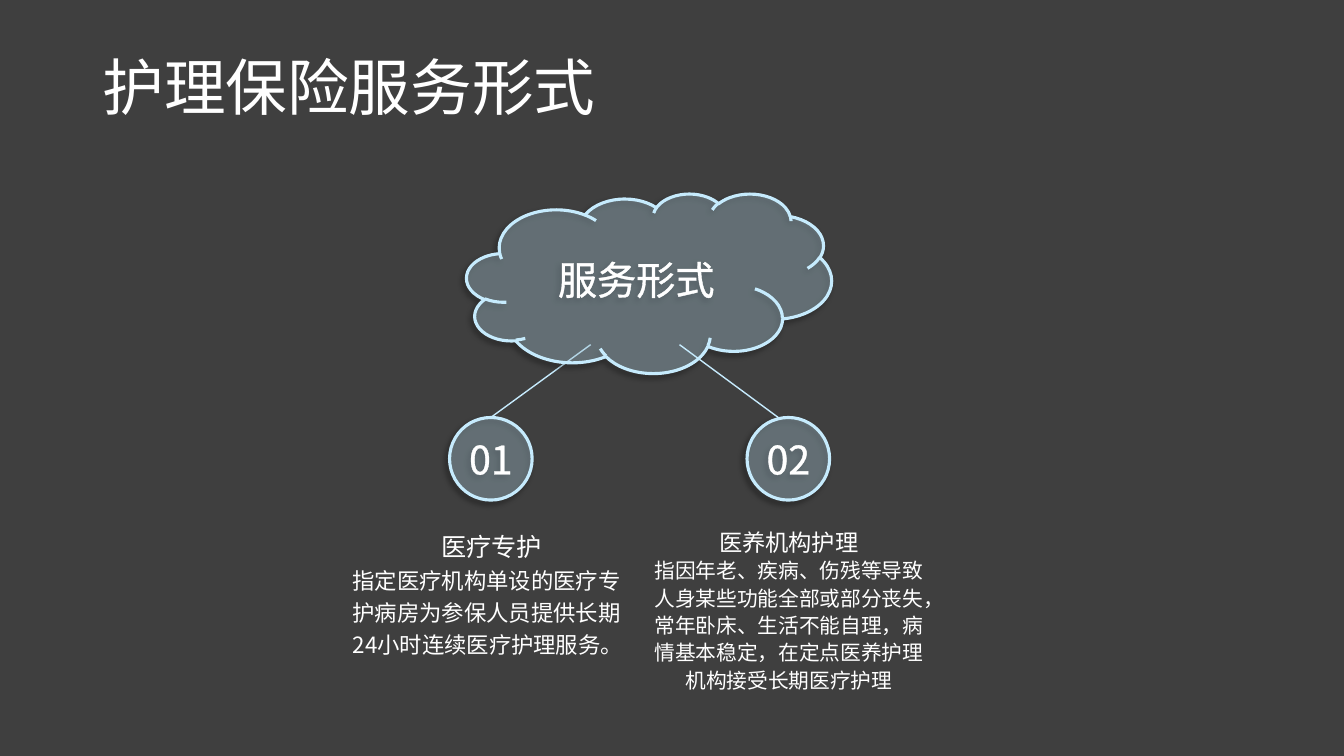
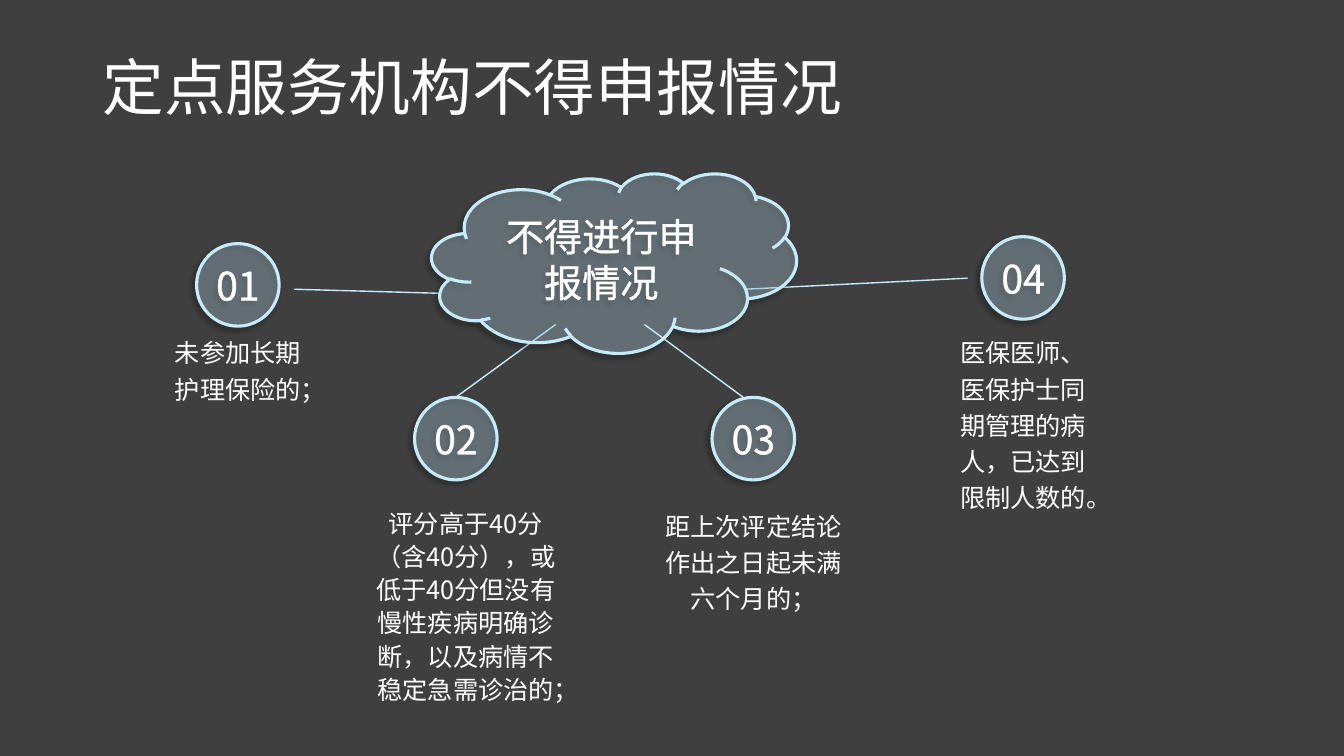
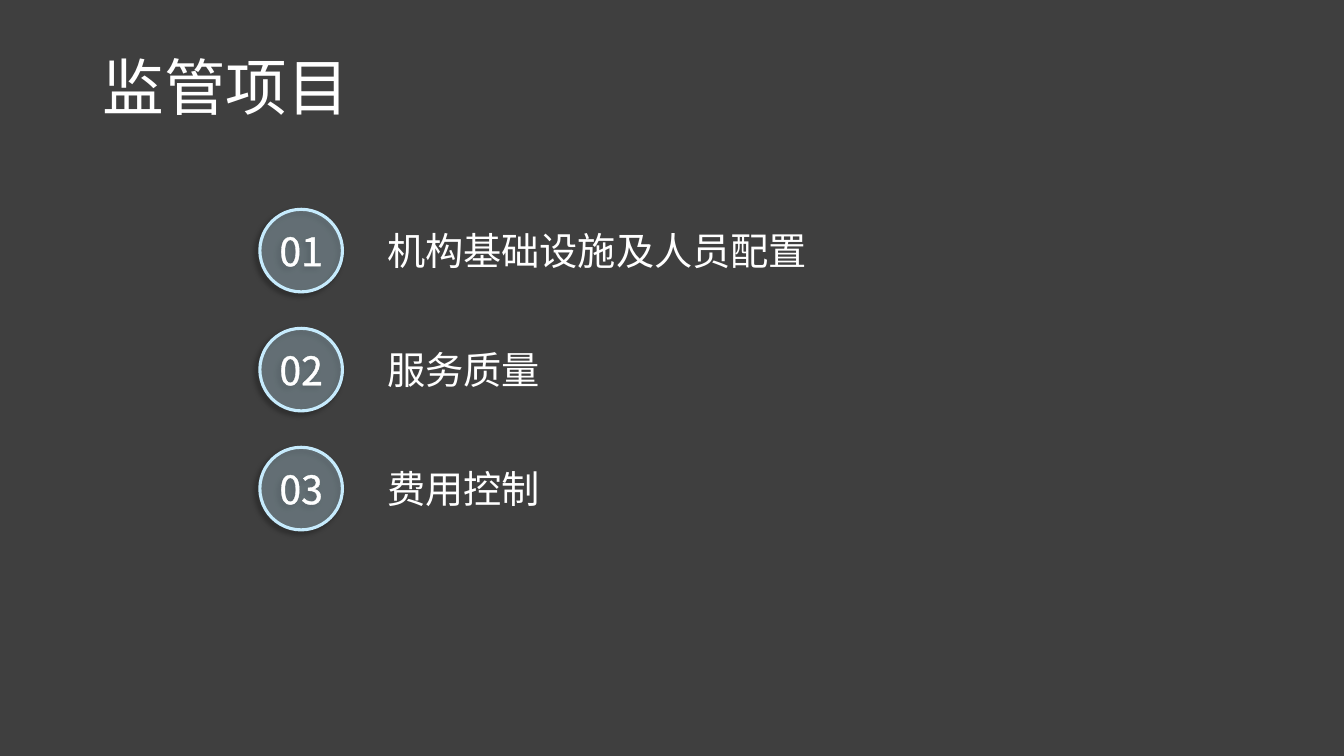
"""Build three slides on care insurance services."""
import pptx
import pptx.dml.color
import pptx.enum.shapes
import pptx.enum.text
import pptx.oxml
import pptx.oxml.ns
import pptx.util

Pt = pptx.util.Pt
qn = pptx.oxml.ns.qn
ALIGN = pptx.enum.text.PP_ALIGN
ANCHOR = pptx.enum.text.MSO_ANCHOR
SHAPE = pptx.enum.shapes.MSO_SHAPE

COLORS = {"background": "3F3F3F", "accent": "C6EBFD", "text": "FFFFFF", "shadow": "000000"}
FONT = "Noto Sans CJK SC"
CIRCLE = 59
CLOUD_WIDTH, CLOUD_HEIGHT = 260.6, 128.2
CIRCLE_DROP = 160
CIRCLE_OFFSETS = (-12.3, 200.2)


def color(name):
    return pptx.dml.color.RGBColor.from_string(COLORS[name])


def xml(tag, content=""):
    namespace = pptx.oxml.ns.nsdecls("a")
    return pptx.oxml.parse_xml(f"<a:{tag} {namespace}>{content}</a:{tag}>")


def solid_fill(name):
    return f'<a:solidFill><a:srgbClr val="{COLORS[name]}"/></a:solidFill>'


def add_paragraph(frame, text, size, align=ALIGN.CENTER, spacing=None, outlined=False):
    first = frame.paragraphs[0]
    para = frame.add_paragraph() if first.runs else first
    para.alignment = align
    para.line_spacing = spacing
    span = para.add_run()
    span.text = text
    span.font.size = Pt(size)
    span.font.name = FONT
    span.font.color.rgb = color("text")
    properties = span.font._element
    east_asian = xml("ea")
    east_asian.set("typeface", FONT)
    properties.append(east_asian)
    if outlined:
        outline = xml("ln", solid_fill("text"))
        outline.set("w", str(Pt(0.75)))
        properties.insert(0, outline)


def add_text(shapes, bounds, paragraphs, spacing=None, anchor=ANCHOR.TOP):
    box = shapes.add_textbox(*map(Pt, bounds))
    frame = box.text_frame
    frame.word_wrap = True
    frame.vertical_anchor = anchor
    for text, size, align in paragraphs:
        add_paragraph(frame, text, size, align, spacing)


def add_glass_shape(shapes, kind, bounds, text, size, inset):
    shape = shapes.add_shape(kind, *map(Pt, bounds))
    shape.fill.solid()
    shape.fill.fore_color.rgb = color("accent")
    shape.line.color.rgb = color("accent")
    shape.line.width = Pt(2.25)
    properties = shape._element.spPr
    alpha = xml("alpha")
    alpha.set("val", "31000")
    properties.find(qn("a:solidFill")).find(qn("a:srgbClr")).append(alpha)
    shape.shadow.inherit = False
    shadow = xml("outerShdw", f'<a:srgbClr val="{COLORS["shadow"]}"><a:alpha val="40000"/></a:srgbClr>')
    for name, value in (("blurRad", Pt(4)), ("dist", Pt(3)), ("dir", 135 * 60000)):
        shadow.set(name, str(value))
    properties.find(qn("a:effectLst")).append(shadow)
    frame = shape.text_frame
    frame.word_wrap = True
    frame.vertical_anchor = ANCHOR.MIDDLE
    frame.margin_left = frame.margin_right = Pt(inset)
    frame.margin_top = frame.margin_bottom = Pt(inset)
    add_paragraph(frame, text, size, outlined=True)
    return shape


def add_circle(shapes, left, top, number):
    bounds = (left, top, CIRCLE, CIRCLE)
    return add_glass_shape(shapes, SHAPE.OVAL, bounds, f"{number:02d}", 28, 0)


def add_line(shapes, start, end):
    line = shapes.add_connector(pptx.enum.shapes.MSO_CONNECTOR.STRAIGHT, *map(Pt, start + end))
    line.line.color.rgb = color("accent")
    line.line.width = Pt(1)
    line._element.spPr.append(xml("effectLst"))
    return line


def add_cloud_diagram(shapes, left, top, text, size, first_number):
    row = top + CIRCLE_DROP
    circles = [add_circle(shapes, left + offset, row, first_number + index)
               for index, offset in enumerate(CIRCLE_OFFSETS)]
    left_line = add_line(shapes, (left + 17.2, row), (left + 88.5, top + 108))
    left_line.begin_connect(circles[0], 0)
    add_glass_shape(shapes, SHAPE.CLOUD, (left, top, CLOUD_WIDTH, CLOUD_HEIGHT), text, size, 11.5)
    add_line(shapes, (left + 222.5, row), (left + 152, top + 108))


def add_page(deck, title):
    page = deck.slides.add_slide(deck.slide_layouts[6])
    add_text(page.shapes, (66.2, 28.8, 828, 72), [(title, 44, ALIGN.LEFT)], 0.9, ANCHOR.MIDDLE)
    return page.shapes


def build_service_forms(deck):
    shapes = add_page(deck, "护理保险服务形式")
    add_cloud_diagram(shapes, 333.4, 138.2, "服务形式", 28, 1)
    add_text(shapes, (244.8, 371.5, 212.4, 138.2), [
        ("医疗专护", 18, ALIGN.CENTER),
        ("指定医疗机构单设的医疗专护病房为参保人员提供长期24小时连续医疗护理服务。", 16, ALIGN.LEFT),
    ], 1.2)
    add_text(shapes, (457.2, 371.5, 212.4, 138.2), [
        ("医养机构护理", 16.6, ALIGN.CENTER),
        ("指因年老、疾病、伤残等导致人身某些功能全部或部分丧失，常年卧床、生活不能自理，"
         "病情基本稳定，在定点医养护理机构接受长期医疗护理", 14.8, ALIGN.CENTER),
    ], 1.1)


def build_exclusions(deck):
    shapes = add_page(deck, "定点服务机构不得申报情况")
    add_circle(shapes, 701.3, 169, 4)
    add_circle(shapes, 140.4, 174, 1)
    add_line(shapes, (210.2, 206.6), (313.9, 209.5))
    add_line(shapes, (691.2, 198.7), (532, 206.6))
    add_cloud_diagram(shapes, 308.4, 123.8, "不得进行申报情况", 27.3, 2)
    reasons = [
        ((117.4, 233.3, 105.1, 193.7), 1.2, "未参加长期护理保险的；"),
        ((254.9, 357.1, 155.5, 159.8), 1.1,
         "评分高于40分（含40分），或低于40分但没有慢性疾病明确诊断，以及病情不稳定急需诊治的；"),
        ((467.3, 357.1, 141.8, 138.2), 1.2, "距上次评定结论作出之日起未满六个月的；"),
        ((678.2, 233.3, 105.1, 193.7), 1.2, "医保医师、医保护士同期管理的病人，已达到限制人数的。"),
    ]
    for bounds, spacing, reason in reasons:
        add_text(shapes, bounds, [(reason, 18, ALIGN.CENTER)], spacing)


def build_supervision(deck):
    shapes = add_page(deck, "监管项目")
    for index, item in enumerate(("机构基础设施及人员配置", "服务质量", "费用控制")):
        top = 149.5 + 85 * index
        row = shapes.add_group_shape().shapes
        add_circle(row, 185.6, top, index + 1)
        add_text(row, (269.5, top + 9, 428.4, 41), [(item, 27.3, ALIGN.LEFT)], anchor=ANCHOR.MIDDLE)


def main():
    deck = pptx.Presentation()
    deck.slide_width, deck.slide_height = Pt(960), Pt(540)
    background = deck.slide_master.background.fill
    background.solid()
    background.fore_color.rgb = color("background")
    build_service_forms(deck)
    build_exclusions(deck)
    build_supervision(deck)
    deck.save("out.pptx")


if __name__ == "__main__":
    main()
